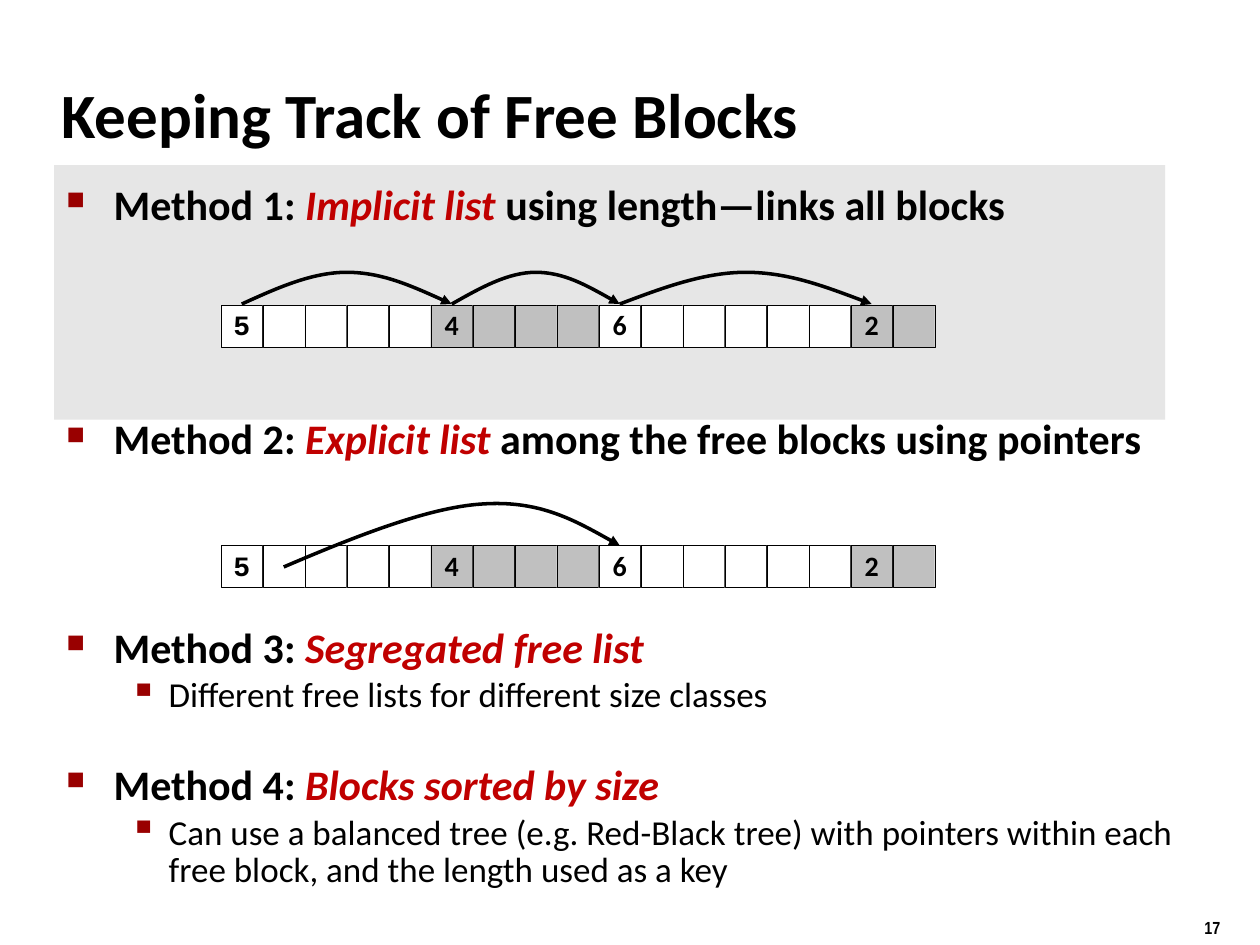
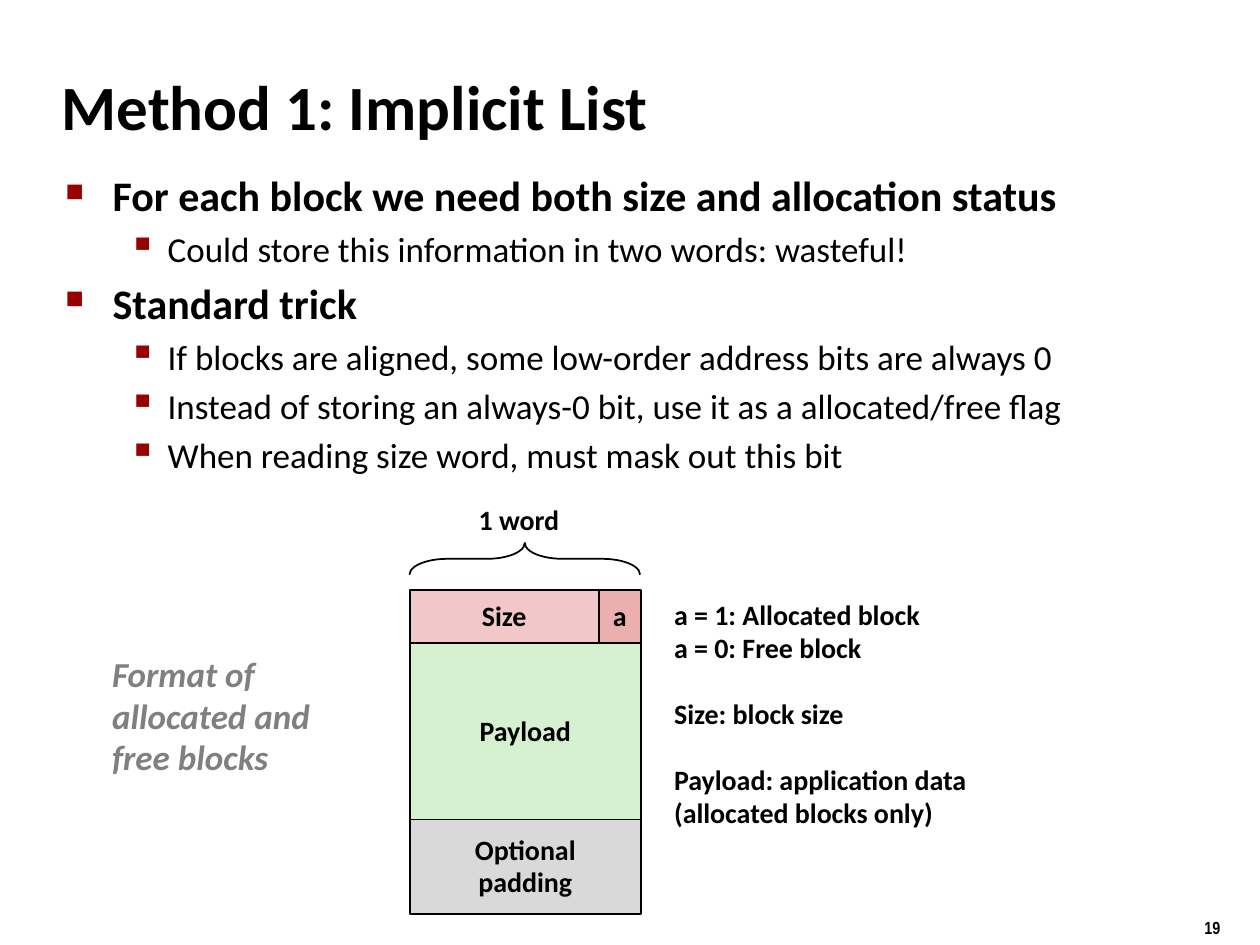
"""Build two slides on keeping track of free memory blocks."""
from itertools import accumulate

from lxml.etree import SubElement
from pptx import Presentation
from pptx.dml.color import RGBColor
from pptx.enum.shapes import MSO_SHAPE as Shape
from pptx.enum.text import MSO_ANCHOR as Anchor, MSO_AUTO_SIZE as AutoSize, PP_ALIGN as Align
from pptx.oxml.ns import qn
from pptx.util import Cm, Pt

COLORS = {
    "black": "000000", "white": "FFFFFF", "accent": "C00000", "bullet": "990000",
    "band": "E6E6E6", "allocated": "C0C0C0", "caption": "808080",
    "size": "F1C7C7", "flag": "EBAFAF", "payload": "D5F1CF", "padding": "D9D9D9",
}
BULLETS = [
    {"char": "■", "scale": 60, "margin": 0.95, "hang": 0.95, "before": 4.8, "size": 24},
    {"char": "▪", "scale": 110, "margin": 2.06, "hang": 0.79, "before": 4, "size": 20},
]
CELL = 2.54 / 3
ROW_LEFT = 4.45
BLOCK_SIZES = [5, 4, 6, 2]
BLOCK_STARTS = [0, *accumulate(BLOCK_SIZES)][:-1]
EVEN_ARC = [(0, 1), (1 / 6, 0.5), (1 / 3, 0), (0.5, 0), (2 / 3, 0), (5 / 6, 0.5), (1, 1)]
POINTER_ARC = [(0, 1), (0.21, 0.55), (0.43, 0.11), (0.59, 0.06), (0.76, 0), (0.88, 0.34), (1, 0.68)]


def color(name):
    return RGBColor.from_string(COLORS[name])


def cell_center(index):
    return ROW_LEFT + (index + 0.5) * CELL


class Deck:
    def __init__(self):
        self.presentation = Presentation()
        self.presentation.slide_width = Cm(25.4)
        self.presentation.slide_height = Cm(19.05)
        self.slide = None

    def style(self, paragraph, size, bold=True, italic=None, name="Calibri", tint="black"):
        for font in (paragraph.font, *(run.font for run in paragraph.runs)):
            font.name, font.size, font.bold = name, Pt(size), bold
            font.italic = italic
            font.color.rgb = color(tint)

    def add_slide(self, title, box, number):
        self.slide = self.presentation.slides.add_slide(self.presentation.slide_layouts[5])
        shape = self.slide.shapes.title
        shape.left, shape.top, shape.width, shape.height = map(Cm, box)
        frame = shape.text_frame
        frame.text = title
        frame.auto_size = AutoSize.NONE
        frame.vertical_anchor = Anchor.MIDDLE
        paragraph = frame.paragraphs[0]
        paragraph.alignment = Align.LEFT
        self.style(paragraph, 36)
        self.text([number], (24.03, 18.36, 1.88, 0.66), 10, name="Arial Narrow", spacing=1)

    def frame(self, box):
        frame = self.slide.shapes.add_textbox(*map(Cm, box)).text_frame
        frame.word_wrap = True
        return frame

    def fill_lines(self, frame, lines, size, spacing=0.98, align=Align.LEFT, gaps=(), **font):
        frame.text = "\n".join(lines)
        for index, paragraph in enumerate(frame.paragraphs):
            paragraph.alignment = align
            paragraph.line_spacing = spacing
            if index in gaps:
                paragraph.space_before = Pt(18.9)
            self.style(paragraph, size, **font)

    def text(self, lines, box, size=16, **options):
        self.fill_lines(self.frame(box), lines, size, **options)

    def bullets(self, items, box):
        frame = self.frame(box)
        for index, (level, text, before, spacing) in enumerate(items):
            paragraph = frame.paragraphs[0] if index == 0 else frame.add_paragraph()
            look = BULLETS[level]
            paragraph.level = level
            paragraph.space_before = Pt(before or look["before"])
            paragraph.line_spacing = spacing
            self.mark(paragraph, look)
            parts = text.split("*")
            for part in filter(None, parts):
                paragraph.add_run().text = part
            self.style(paragraph, look["size"], bold=level == 0)
            if len(parts) > 1:
                accent = paragraph.runs[1].font
                accent.italic = True
                accent.color.rgb = color("accent")

    def mark(self, paragraph, look):
        properties = paragraph._p.get_or_add_pPr()
        properties.set("marL", str(Cm(look["margin"])))
        properties.set("indent", str(-Cm(look["hang"])))
        tint = SubElement(properties, qn("a:buClr"))
        SubElement(tint, qn("a:srgbClr"), val=COLORS["bullet"])
        SubElement(properties, qn("a:buSzPct"), val=str(look["scale"] * 1000))
        SubElement(properties, qn("a:buChar"), char=look["char"])

    def outline(self, shape, width):
        shape.shadow.inherit = False
        shape.line.color.rgb = color("black")
        shape.line.width = Pt(width)

    def box(self, box, fill, lines=(), line=1, **options):
        shape = self.slide.shapes.add_shape(Shape.RECTANGLE, *map(Cm, box))
        self.outline(shape, line)
        if not line:
            shape.line.fill.background()
        shape.fill.solid()
        shape.fill.fore_color.rgb = color(fill)
        if lines:
            frame = shape.text_frame
            frame.margin_left = frame.margin_right = frame.margin_top = frame.margin_bottom = 0
            frame.word_wrap = True
            frame.vertical_anchor = Anchor.MIDDLE
            self.fill_lines(frame, lines, 16, align=Align.CENTER, **options)

    def heap(self, top):
        for block, (start, size) in enumerate(zip(BLOCK_STARTS, BLOCK_SIZES)):
            fill = "allocated" if block % 2 else "white"
            name = "Calibri" if block else "Courier New"
            for offset in range(size):
                left = ROW_LEFT + (start + offset) * CELL
                label = () if offset else (str(size),)
                self.box((left, top, CELL, CELL), fill, label, line=0.25, name=name)

    def arc(self, first, last, top, height, profile):
        left, right = cell_center(first), cell_center(last)
        points = [(Cm(left + x * (right - left)), Cm(top + y * height)) for x, y in profile]
        builder = self.slide.shapes.build_freeform(*points[0])
        builder.add_line_segments(points[1:], close=False)
        shape = builder.convert_to_shape()
        self.outline(shape, 2)
        shape.fill.background()
        outline = shape._element.xpath(".//a:path")[0]
        segments = outline.findall(qn("a:lnTo"))
        for index in range(0, len(segments), 3):
            curve = SubElement(outline, qn("a:cubicBezTo"))
            for segment in segments[index:index + 3]:
                curve.append(segment[0])
                outline.remove(segment)
        SubElement(shape.line._get_or_add_ln(), qn("a:tailEnd"), type="triangle")

    def brace(self, box):
        shape = self.slide.shapes.add_shape(Shape.RIGHT_BRACE, *map(Cm, box))
        shape.rotation = 270
        shape.adjustments[0] = 1.19
        shape.fill.background()
        self.outline(shape, 1)


def add_methods_slide(deck):
    deck.add_slide("Keeping Track of Free Blocks", (0.99, 1.22, 21.08, 2.11), "17")
    deck.box((1.09, 3.33, 22.4, 5.13), "band", line=0)
    deck.bullets([
        (0, "Method 1: *Implicit list *using length—links all blocks", None, 1),
        (0, "Method 2: *Explicit list *among the free blocks using pointers", 105, 1),
        (0, "Method 3: *Segregated free list*", 95, 0.83),
        (1, "Different free lists for different size classes", None, 0.88),
        (0, "Method 4: *Blocks sorted by size*", 29.5, 0.83),
        (1, "Can use a balanced tree (e.g. Red-Black tree) with pointers within each "
            "free block, and the length used as a key", None, 0.88),
    ], (1.09, 3.48, 23.04, 14.94))
    deck.heap(6.15)
    for first, last in zip(BLOCK_STARTS, BLOCK_STARTS[1:]):
        deck.arc(first, last, 5.49, 0.64, EVEN_ARC)
    deck.heap(11)
    deck.arc(1, BLOCK_STARTS[2], 10.08, 1.35, POINTER_ARC)


def add_implicit_list_slide(deck):
    deck.add_slide("Method 1: Implicit List", (0.99, 1.32, 18.31, 1.6), "19")
    deck.bullets([
        (level, text, None, 1) for level, text in [
            (0, "For each block we need both size and allocation status"),
            (1, "Could store this information in two words: wasteful!"),
            (0, "Standard trick"),
            (1, "If blocks are aligned, some low-order address bits are always 0"),
            (1, "Instead of storing an always-0 bit, use it as a allocated/free flag"),
            (1, "When reading size word, must mask out this bit"),
        ]
    ], (1.07, 3.3, 22.94, 5.99))
    left, top, size_width, flag_width = 8.26, 11.89, 3.81, 0.85
    word = size_width + flag_width
    header, payload, padding = 1.07, 3.56, 1.9
    deck.box((left, top, size_width, header), "size", ["Size"])
    deck.box((left + size_width, top, flag_width, header), "flag", ["a"])
    deck.box((left, top + header, word, payload), "payload", ["Payload"])
    deck.box((left, top + header + payload, word, padding), "padding", ["Optional", "padding"])
    deck.text(["1 word"], (9.4, 10.03, 2.39, 0.91))
    deck.brace((10.26, 8.94, 0.64, 4.65))
    deck.text(["Format of", "allocated and", "free blocks"], (2.01, 13.08, 5.05, 2.74), 20,
              italic=True, tint="caption")
    deck.text(["a = 1: Allocated block", "a = 0: Free block", "Size: block size",
               "Payload: application data", "(allocated blocks only)"],
              (13.34, 11.96, 7.62, 5.56), gaps=(2, 3))


def main():
    deck = Deck()
    add_methods_slide(deck)
    add_implicit_list_slide(deck)
    deck.presentation.save("out.pptx")


if __name__ == "__main__":
    main()
